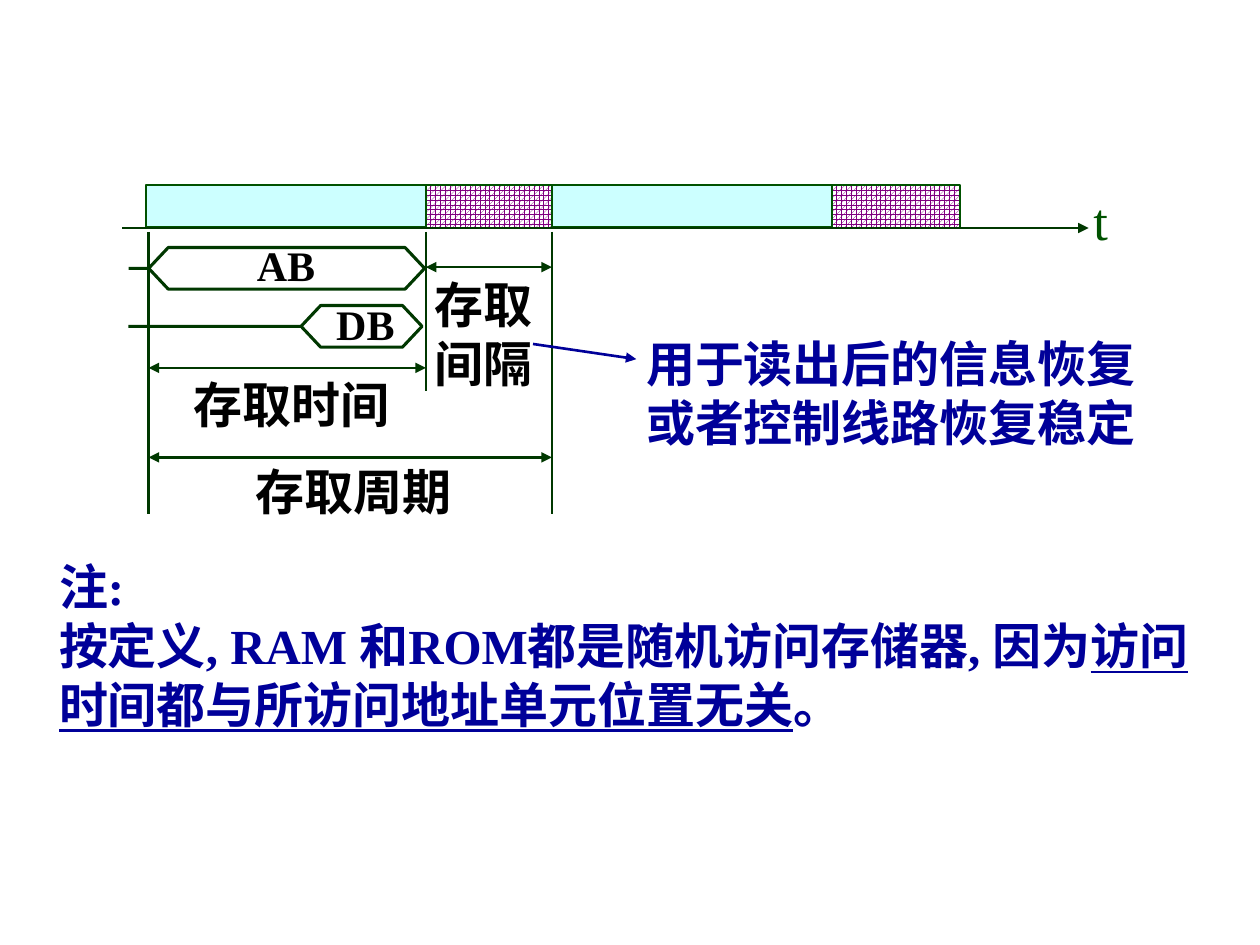
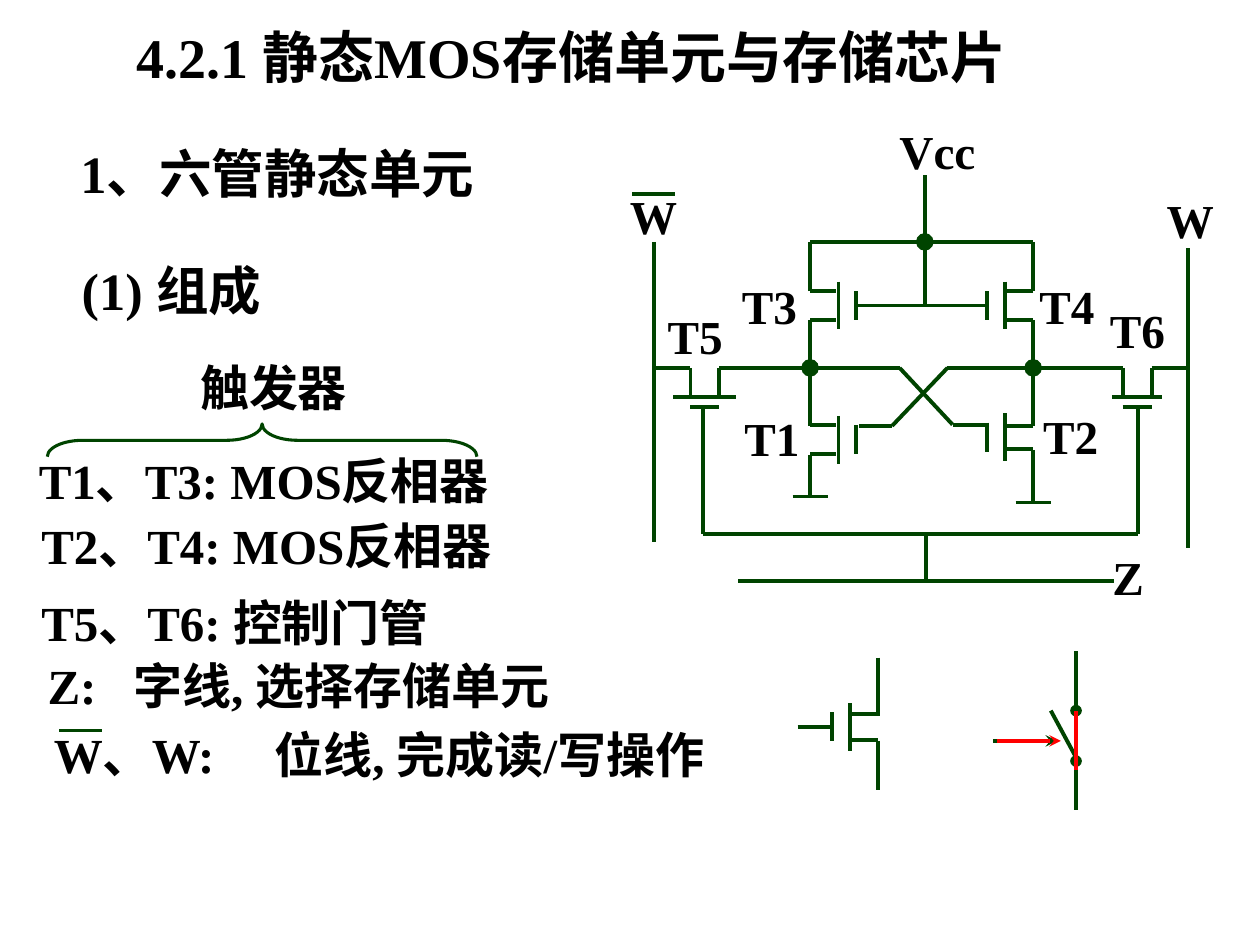
from dataclasses import dataclass
from typing import Any

from lxml import etree
from pptx import Presentation
from pptx.dml.color import RGBColor
from pptx.enum.dml import MSO_PATTERN
from pptx.enum.shapes import MSO_CONNECTOR, MSO_SHAPE
from pptx.enum.text import MSO_ANCHOR, MSO_AUTO_SIZE, PP_ALIGN
from pptx.oxml.ns import qn
from pptx.util import Inches, Pt

STRAIGHT = MSO_CONNECTOR.STRAIGHT
RECT, OVAL, BRACE = MSO_SHAPE.RECTANGLE, MSO_SHAPE.OVAL, MSO_SHAPE.LEFT_BRACE
MESH = MSO_PATTERN.SPHERE
TOP, LEFT = MSO_ANCHOR.TOP, PP_ALIGN.LEFT
GROW = MSO_AUTO_SIZE.SHAPE_TO_FIT_TEXT

BLACK = RGBColor(0x00, 0x00, 0x00)
WHITE = RGBColor(0xFF, 0xFF, 0xFF)
NAVY = RGBColor(0x00, 0x00, 0x99)
RED = RGBColor(0xFF, 0x00, 0x00)
PURPLE = RGBColor(0x80, 0x00, 0x80)
AQUA = RGBColor(0xCC, 0xFF, 0xFF)
EDGE = RGBColor(0x00, 0x52, 0x00)
TIMING = RGBColor(0x00, 0x38, 0x00)
CIRCUIT = RGBColor(0x00, 0x44, 0x00)

LATIN, CJK = "Times New Roman", "Noto Sans CJK SC"
TITLE_ONLY, BLANK = 5, 6
COLS, ROWS = 100, 75

prs = Presentation()
prs.slide_width, prs.slide_height = Inches(10), Inches(7.5)
COL, ROW = prs.slide_width / COLS, prs.slide_height / ROWS


@dataclass
class Box:
    """A region of a slide; its parts are placed in columns and rows from its corner."""
    slide: Any
    left: float = 0
    top: float = 0

    def at(self, col, row):
        return round((self.left + col) * COL), round((self.top + row) * ROW)

    def area(self, col, row, cols, rows):
        return *self.at(col, row), round(cols * COL), round(rows * ROW)


# Shared drawing helpers
def add_text(box, area, *paragraphs, size=28, color=BLACK, bold=True, wrap=True,
             tab=None, sp=None):
    """Each paragraph is a string or a list of (text, underlined) pairs."""
    place = box.area(*area)
    if sp is None:
        sp = box.slide.shapes.add_textbox(*place)
    else:
        sp.left, sp.top, sp.width, sp.height = place
    tf = sp.text_frame
    tf.word_wrap, tf.auto_size, tf.vertical_anchor = wrap, GROW, TOP
    for i, content in enumerate(paragraphs):
        p = tf.add_paragraph() if i else tf.paragraphs[0]
        p.alignment = LEFT
        if tab:
            stops = etree.SubElement(p._p.get_or_add_pPr(), qn("a:tabLst"))
            etree.SubElement(stops, qn("a:tab"), pos=str(round(tab * COL)), algn="l")
        for text, underlined in [(content, False)] if isinstance(content, str) else content:
            r = p.add_run()
            r.text = text
            f = r.font
            f.name, f.size, f.bold = LATIN, Pt(size), bold
            f.underline = underlined
            f.color.rgb = color
            etree.SubElement(r._r.get_or_add_rPr(), qn("a:ea"), typeface=CJK)
    return sp


def add_line(box, start, end, color=CIRCUIT, width=2.25, head=None, tail=None):
    sp = box.slide.shapes.add_connector(STRAIGHT, *box.at(*start), *box.at(*end))
    sp.line.color.rgb, sp.line.width = color, Pt(width)
    for tag, kind in (("a:headEnd", head), ("a:tailEnd", tail)):
        if kind:
            etree.SubElement(sp.line._get_or_add_ln(), qn(tag), type=kind)
    etree.SubElement(sp._element.spPr, qn("a:effectLst"))


def add_wire(box, *points):
    for start, end in zip(points, points[1:]):
        add_line(box, start, end)


def add_shape(box, kind, area, fill=None, line=None, width=1.25):
    sp = box.slide.shapes.add_shape(kind, *box.area(*area))
    sp.shadow.inherit = False
    if fill is None:
        sp.fill.background()
    else:
        sp.fill.solid()
        sp.fill.fore_color.rgb = fill
    if line is None:
        sp.line.fill.background()
    else:
        sp.line.color.rgb, sp.line.width = line, Pt(width)
    return sp


# Slide 1: memory access timing
def add_bus(box, lead, left, right, mid, label, label_area):
    half, slant = 1.65, 1.55
    points = [box.at(*pt) for pt in (
        (lead, mid), (left, mid), (left + slant, mid - half), (right - slant, mid - half),
        (right, mid), (right - slant, mid + half), (left + slant, mid + half), (left, mid))]
    fb = box.slide.shapes.build_freeform(*points[0])
    fb.add_line_segments(points[1:], close=False)
    sp = fb.convert_to_shape()
    sp.shadow.inherit = False
    sp.fill.background()
    sp.line.color.rgb, sp.line.width = TIMING, Pt(1.75)
    add_text(box, label_area, label, size=24)


def add_timing(box):
    start, ready, finish = 1.8, 23.8, 33.8
    # Two access cycles on the time axis
    for shift in (0, finish - 1.6):
        add_shape(box, RECT, (1.6 + shift, 0.7, 22.4, 3.3), AQUA, EDGE)
        gap = add_shape(box, RECT, (ready + shift, 0.7, 10.2, 3.4), WHITE, EDGE)
        gap.fill.patterned()
        gap.fill.pattern = MESH
        gap.fill.fore_color.rgb, gap.fill.back_color.rgb = PURPLE, WHITE
    add_line(box, (-0.3, 4.1), (76.4, 4.1), TIMING, 1.5, tail="triangle")
    add_text(box, (75.8, 0.4, 6.7, 6), "t", size=30, color=EDGE, bold=False)

    # Time marks and the spans between them
    for col, bottom in ((start, 26.8), (ready, 17), (finish, 26.8)):
        add_line(box, (col, 4.4), (col, bottom), TIMING, 1.5)
    for first, last, row in ((start, ready, 15.2), (start, finish, 22.3),
                             (ready, finish, 7.2)):
        add_line(box, (first, row), (last, row), TIMING, 1.5, "triangle", "triangle")
    add_text(box, (4.4, 15.2, 17.6, 5.7), "存取时间", wrap=False)
    add_text(box, (9.3, 22.1, 17.6, 5.7), "存取周期", wrap=False)
    add_text(box, (23.5, 7.3, 11.8, 10.3), "存取间隔")

    # Address and data buses
    add_bus(box, 0.2, start, 23.7, 7.3, "AB", (9.4, 4.5, 8.4, 5))
    add_bus(box, 0.2, 13.9, 23.5, 11.9, "DB", (15.7, 9.2, 8.4, 5))

    # Remark on the gap
    add_line(box, (32.3, 13.3), (40.5, 14.5), NAVY, 1.5, tail="triangle")
    add_text(box, (40.3, 12, 41.6, 10.3), "用于读出后的信息恢复或者控制线路恢复稳定",
             color=NAVY)


def add_note(box):
    add_text(box, (0, 0, 93.8, 15), "注:",
             [("按定义, RAM 和ROM都是随机访问存储器, 因为", False),
              ("访问时间都与所访问地址单元位置无关", True), ("。", False)], color=NAVY)


# Slide 2: six-transistor static cell
def add_outline(box):
    add_text(box, (5.4, 0, 37.7, 6), "1、六管静态单元", size=30)
    add_text(box, (5.5, 9.3, 22, 6), "(1) 组成", size=30)
    add_text(box, (14.9, 17.2, 19, 5.7), "触发器")
    brace = add_shape(box, BRACE, (19.5, 7.2, 2.6, 34.1), line=CIRCUIT, width=1.75)
    brace.rotation = 90
    brace.adjustments[0] = 1.083
    for col, row, cols, text, tab in (
            (2.1, 24.6, 41.7, "T1、T3: MOS反相器", None),
            (2.3, 29.7, 48.3, "T2、T4: MOS反相器", None),
            (2.3, 35.8, 42.5, "T5、T6: 控制门管", None),
            (2.8, 40.8, 50.7, "Z:\t字线, 选择存储单元", 6.8),
            (3.3, 46.3, 53.8, "W、W:\t位线, 完成读/写操作", 17.5)):
        add_text(box, (col, row, cols, 5.7), text, tab=tab)
    add_line(box, (4.7, 47.3), (8.1, 47.3), width=1.75)


def add_transistor(box, col, row, side=1, upright=True, stub=1.15, channel=1.9,
                   depths=(2.05, 2.25, 3.65)):
    """Two stubs, a channel and a gate plate, at depths from the axis through (col, row)."""
    def spot(depth, along):
        if upright:
            return col + side * depth, row + along
        return col + along, row + side * depth

    stub_end, channel_at, plate_at = depths
    for along in (-stub, stub):
        add_line(box, spot(0, along), spot(stub_end, along))
    for depth, half in ((channel_at, channel), (plate_at, 1.15)):
        add_line(box, spot(depth, -half), spot(depth, half))


def add_cell(box):
    left, right, rail, node, gate = 14.3, 32, 10.2, 20.2, 15.25
    bit_bar, bit, mid = 1.9, 44.3, 23.4

    # Load, driver and access transistors
    add_transistor(box, left, gate)
    add_transistor(box, right, gate, side=-1)
    add_transistor(box, left, 25.9)
    add_transistor(box, right, 25.7, side=-1, stub=0.9)
    for col, channel in ((5.95, 2.5), (40.25, 2)):
        add_transistor(box, col, node, upright=False, channel=channel,
                       depths=(2.3, 2.3, 3.1))

    # Supply rail and common gate
    add_wire(box, (left, 14.1), (left, rail), (right, rail), (right, 14.1))
    add_wire(box, (mid, 4.9), (mid, gate))
    add_wire(box, (18.1, gate), (28.4, gate))

    # Branches down to ground
    for col, source, ground in ((left, 27.1, 30.4), (right, 26.7, 30.9)):
        add_wire(box, (col, 16.4), (col, node), (col, 24.8))
        add_wire(box, (col, source), (col, ground))
        add_line(box, (col - 1.4, ground), (col + 1.4, ground), width=1.5)

    # Cross coupling
    add_wire(box, (left, node), (21.4, node), (25.6, 24.7), (28.5, 24.7))
    add_wire(box, (right, node), (25.2, node), (20.8, 24.8), (18.2, 24.8))

    # Bit lines, access paths and word line
    add_wire(box, (bit_bar, 10.2), (bit_bar, 34))
    add_wire(box, (bit, 10.7), (bit, 34.5))
    for first, last in ((bit_bar, 4.8), (7.1, left), (right, 39.1), (41.4, bit)):
        add_wire(box, (first, node), (last, node))
    add_wire(box, (5.8, 23.4), (5.8, 33.4), (40.3, 33.4), (40.3, 23.4))
    add_wire(box, (23.5, 33.4), (23.5, 37.1))
    add_wire(box, (8.6, 37.1), (38.4, 37.1))

    # Junctions
    for col, row in ((mid, rail), (left, node), (right, node)):
        add_shape(box, OVAL, (col - 0.7, row - 0.7, 1.4, 1.4), CIRCUIT)

    # Labels
    for text, col, row in (
            ("Vcc", 20.4, 0.2), ("T3", 7.9, 12.5), ("T4", 31.5, 12.5), ("T1", 8.1, 23),
            ("T2", 31.8, 22.8), ("T5", 2, 14.9), ("T6", 37.1, 14.4), ("Z", 37.3, 34),
            ("W", -1, 5.4), ("W", 41.6, 5.7)):
        add_text(box, (col, row, 9.9 if text == "Vcc" else 7.1, 5.5), text, size=27)
    add_line(box, (0.2, 6.4), (3.6, 6.4), width=1.75)


def add_single_transistor(box):
    add_transistor(box, 6.7, 6.7, side=-1, stub=1)
    add_wire(box, (6.7, 1.2), (6.7, 5.8))
    add_wire(box, (6.7, 7.8), (6.7, 11.7))
    add_wire(box, (0.3, 6.7), (3.1, 6.7))


def add_switch(box):
    axis, gate = 7.4, 7.8
    add_line(box, (axis, 0.7), (axis, 5.4), tail="oval")
    add_line(box, (axis, 9.4), (axis, 13.3), head="oval")
    add_line(box, (5.9, gate), (0.8, gate), head="stealth")
    add_line(box, (7.5, 9.3), (5.4, 5.4))
    # Closed state
    add_line(box, (6.2, gate), (1.1, gate), RED, head="stealth")
    add_line(box, (axis, 10.1), (axis, 5.4), RED)


s = prs.slides.add_slide(prs.slide_layouts[BLANK])
add_timing(Box(s, 10, 14))
add_note(Box(s, 3.7, 43.7))

s = prs.slides.add_slide(prs.slide_layouts[TITLE_ONLY])
add_text(Box(s), (9.8, 1.3, 81.1, 6.4), "4.2.1 静态MOS存储单元与存储芯片", size=32,
         sp=s.shapes.title)
add_outline(Box(s, 0, 10.7))
add_cell(Box(s, 50, 9))
add_single_transistor(Box(s, 63, 51))
add_switch(Box(s, 78, 51))

prs.save("out.pptx")
